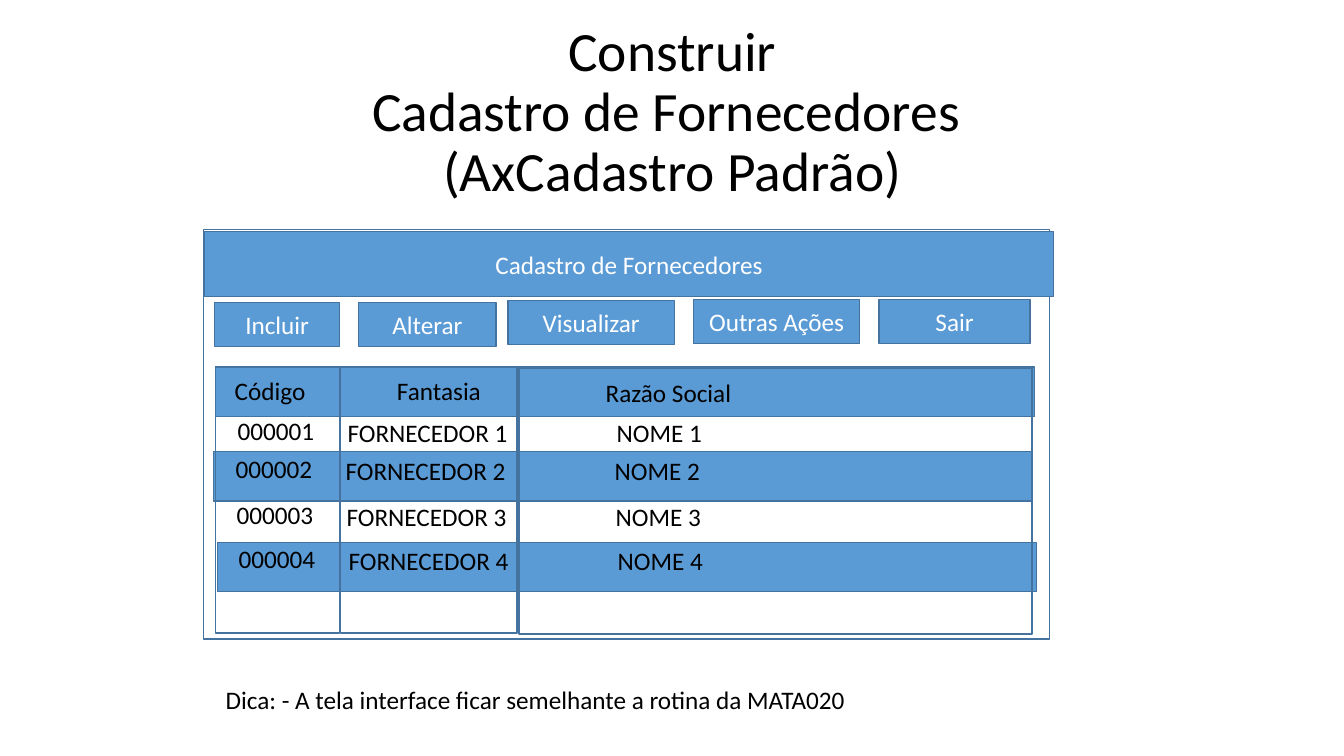
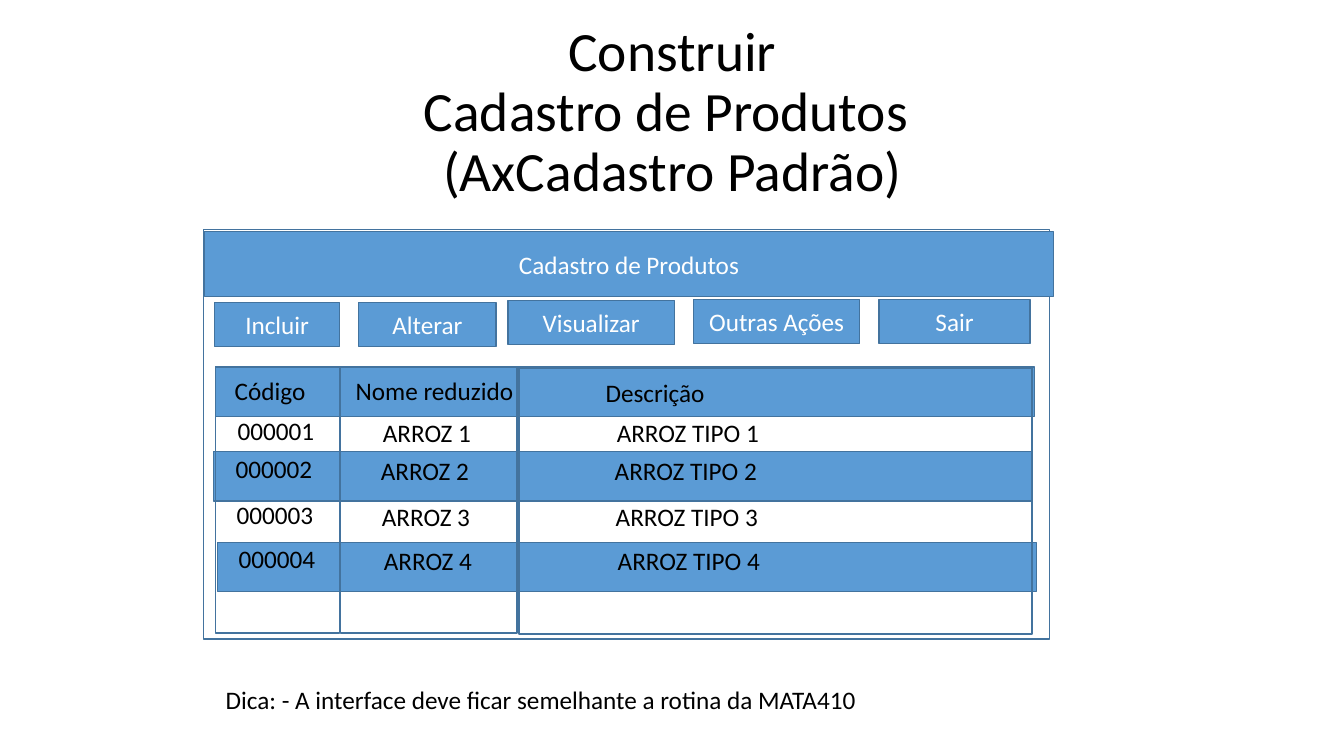
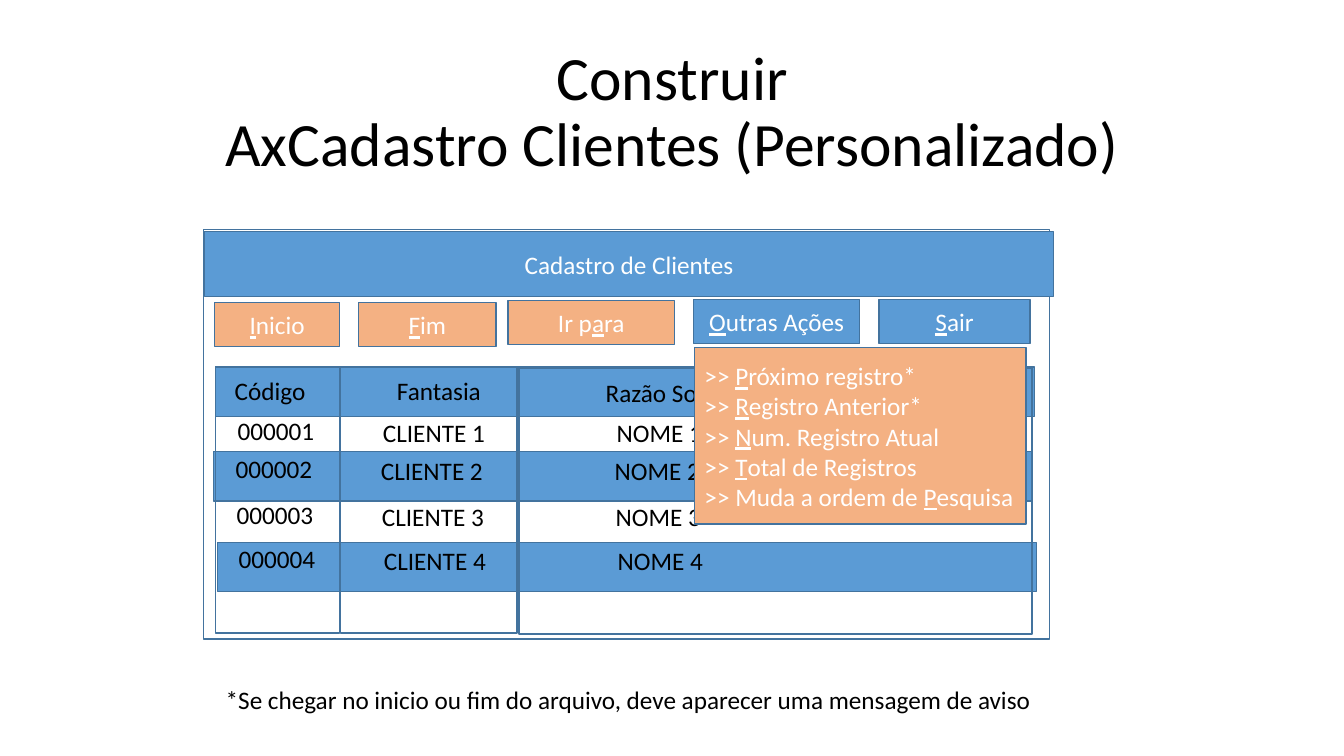
from dataclasses import dataclass
from typing import NamedTuple

from pptx import Presentation
from pptx import util as u
from pptx.dml.color import RGBColor
from pptx.enum import shapes, text

FONT = "Calibri"
BLACK = RGBColor(0x00, 0x00, 0x00)
WHITE = RGBColor(0xFF, 0xFF, 0xFF)
BLUE = RGBColor(0x5B, 0x9B, 0xD5)
ORANGE = RGBColor(0xF4, 0xB1, 0x83)
OUTLINE = RGBColor(0x43, 0x73, 0x9E)

CELL = u.Inches(0.1)  # the slide is a grid of 133.33 columns by 75 rows
SLIDE_COLS, SLIDE_ROWS = 133.33, 75


class Box(NamedTuple):
    """Left, top, width and height in grid cells."""
    left: float
    top: float
    width: float
    height: float

    def emu(self) -> list[int]:
        return [round(n * CELL) for n in self]


class Column(NamedTuple):
    """A header and the stem of its numbered entries, each with left and width."""
    header: str
    header_left: float
    header_width: float
    stem: str
    left: float
    width: float


@dataclass
class Screen:
    title: str
    caption: str
    columns: list[Column]
    note: str
    note_width: float
    buttons: tuple[str, ...] = ("Incluir", "Alterar", "Visualizar", "Outras Ações", "Sair")
    button_fills: tuple[RGBColor, ...] = (BLUE,) * 5
    title_size: float = 39.6
    menu: str = ""


TITLE = Box(9.2, 4, 115, 14.5)
WINDOW = Box(20.2, 22.8, 83.9, 40.6)
CAPTION = Box(20.3, 23, 84.2, 6.4)
MENU = Box(68.9, 34.5, 32.9, 17.5)
BUTTONS = [Box(left, top, width, 4.4) for left, top, width in (
    (21.3, 30, 12.4), (35.6, 30, 13.6), (50.4, 29.8, 16.5),
    (68.8, 29.7, 16.5), (87.2, 29.7, 15))]
BANDS = [Box(left, top, 81.2, 4.9) for left, top in (
    (21.4, 36.4), (21.2, 44.8), (21.6, 53.8))]
FRAMES = [Box(left, top, width, 26.4) for left, top, width in (
    (21.4, 36.4, 12.3), (33.8, 36.4, 17.5), (51.5, 36.5, 50.9))]
HEADER_TOPS = (36.7, 36.7, 36.9)
ENTRY_DROPS = (0, 0.2, 0.2)  # extra drop of the entries in each column
ENTRY_ROWS = ((0.2, 40.7), (0, 44.5), (0.1, 49), (0.3, 53.4))  # shift, top
LABEL_HEIGHT = 4
NOTE_LEFT, NOTE_TOP = 21.4, 67.4

CODE = Column("Código", 22.3, 9.1, "00000", 22.4, 9.7)
COMPANY = Column("Razão Social", 59.1, 14.6, "NOME ", 60, 10.6)

SCREENS = [
    Screen(
        "Construir\vCadastro de Fornecedores \v(AxCadastro Padrão)",
        "Cadastro de Fornecedores",
        [CODE, Column("Fantasia", 38.4, 10.4, "FORNECEDOR ", 33.3, 18), COMPANY],
        "Dica: - A tela interface ficar semelhante a rotina da MATA020", 63.6),
    Screen(
        "Construir\vCadastro de Produtos \v(AxCadastro Padrão)",
        "Cadastro de Produtos",
        [CODE, Column("Nome reduzido", 34.3, 17.9, "ARROZ ", 36.8, 10.8),
         Column("Descrição", 59.1, 11.9, "ARROZ TIPO ", 60, 16.2)],
        "Dica: - A interface deve ficar semelhante a rotina da MATA410", 64.7),
    Screen(
        "Construir\vAxCadastro Clientes (Personalizado)",
        "Cadastro de Clientes",
        [CODE, Column("Fantasia", 38.4, 10.4, "CLIENTE ", 36.8, 12.2), COMPANY],
        "*Se chegar no inicio ou fim do arquivo, deve aparecer uma mensagem de aviso", 84.2,
        buttons=("&Inicio", "&Fim", "Ir p&ara", "&Outras Ações", "&Sair"),
        button_fills=(ORANGE,) * 3 + (BLUE,) * 2,
        title_size=44,
        menu=">> &Próximo registro*\n>> &Registro Anterior*\n>> &Num. Registro Atual\n"
             ">> &Total de Registros\n>> Muda a ordem de &Pesquisa"),
]


def write(tf, content: str, *, size: float = 18, color: RGBColor = BLACK,
          align=text.PP_ALIGN.LEFT, spacing: float = 1.0) -> None:
    """Fill a text frame; & underlines the next letter, \\v breaks a line."""
    for i, line in enumerate(content.split("\n")):
        p = tf.paragraphs[0] if i == 0 else tf.add_paragraph()
        p.alignment, p.line_spacing = align, spacing
        for j, piece in enumerate(line.split("\v")):
            if j:
                p.add_line_break()
            plain, _, marked = piece.partition("&")
            for part, underlined in ((plain, False), (marked[:1], True), (marked[1:], False)):
                if part:
                    r = p.add_run()
                    r.text = part
                    r.font.name, r.font.size = FONT, u.Pt(size)
                    r.font.color.rgb, r.font.underline = color, underlined


def add_box(slide, box: Box, fill: RGBColor | None = None, content: str = "",
            align=text.PP_ALIGN.CENTER) -> None:
    sp = slide.shapes.add_shape(shapes.MSO_SHAPE.RECTANGLE, *box.emu())
    sp.shadow.inherit = False
    if fill is None:
        sp.fill.background()
    else:
        sp.fill.solid()
        sp.fill.fore_color.rgb = fill
    sp.line.color.rgb, sp.line.width = OUTLINE, u.Pt(1)
    if content:
        tf = sp.text_frame
        tf.word_wrap = True
        tf.vertical_anchor = text.MSO_ANCHOR.MIDDLE
        write(tf, content, color=WHITE, align=align)


def add_label(slide, left: float, top: float, width: float, content: str) -> None:
    tf = slide.shapes.add_textbox(*Box(left, top, width, LABEL_HEIGHT).emu()).text_frame
    tf.word_wrap = False
    tf.auto_size = text.MSO_AUTO_SIZE.SHAPE_TO_FIT_TEXT
    write(tf, content)


def add_title(slide, content: str, size: float) -> None:
    title = slide.shapes.title
    title.left, title.top, title.width, title.height = TITLE.emu()
    tf = title.text_frame
    tf.auto_size = text.MSO_AUTO_SIZE.NONE
    tf.vertical_anchor = text.MSO_ANCHOR.MIDDLE
    write(tf, content, size=size, align=text.PP_ALIGN.CENTER, spacing=0.9)


def add_grid(slide, columns: list[Column]) -> None:
    for band in BANDS:
        add_box(slide, band, BLUE)
    for frame in FRAMES:
        add_box(slide, frame)
    for column, header_top, drop in zip(columns, HEADER_TOPS, ENTRY_DROPS):
        add_label(slide, column.header_left, header_top, column.header_width, column.header)
        for number, (shift, top) in enumerate(ENTRY_ROWS, 1):
            add_label(slide, column.left + shift, top + drop, column.width,
                      f"{column.stem}{number}")


def add_screen(prs, screen: Screen) -> None:
    slide = prs.slides.add_slide(prs.slide_layouts.get_by_name("Title Only"))
    add_title(slide, screen.title, screen.title_size)
    add_box(slide, WINDOW, WHITE)
    add_box(slide, CAPTION, BLUE, screen.caption)
    for box, fill, label in zip(BUTTONS, screen.button_fills, screen.buttons):
        add_box(slide, box, fill, label)
    add_grid(slide, screen.columns)
    if screen.menu:
        add_box(slide, MENU, ORANGE, screen.menu, text.PP_ALIGN.LEFT)
    add_label(slide, NOTE_LEFT, NOTE_TOP, screen.note_width, screen.note)


def main() -> None:
    prs = Presentation()
    prs.slide_width = round(SLIDE_COLS * CELL)
    prs.slide_height = SLIDE_ROWS * CELL
    for screen in SCREENS:
        add_screen(prs, screen)
    prs.save("out.pptx")


if __name__ == "__main__":
    main()
